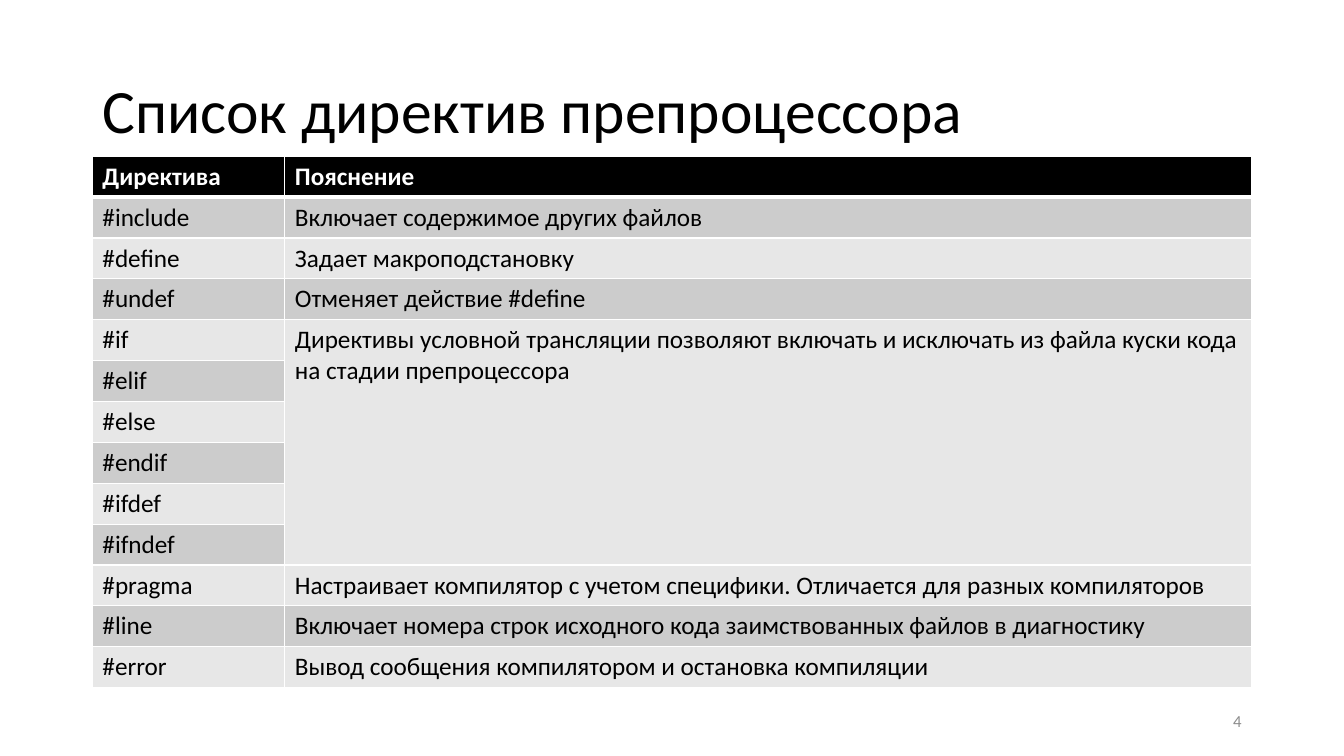
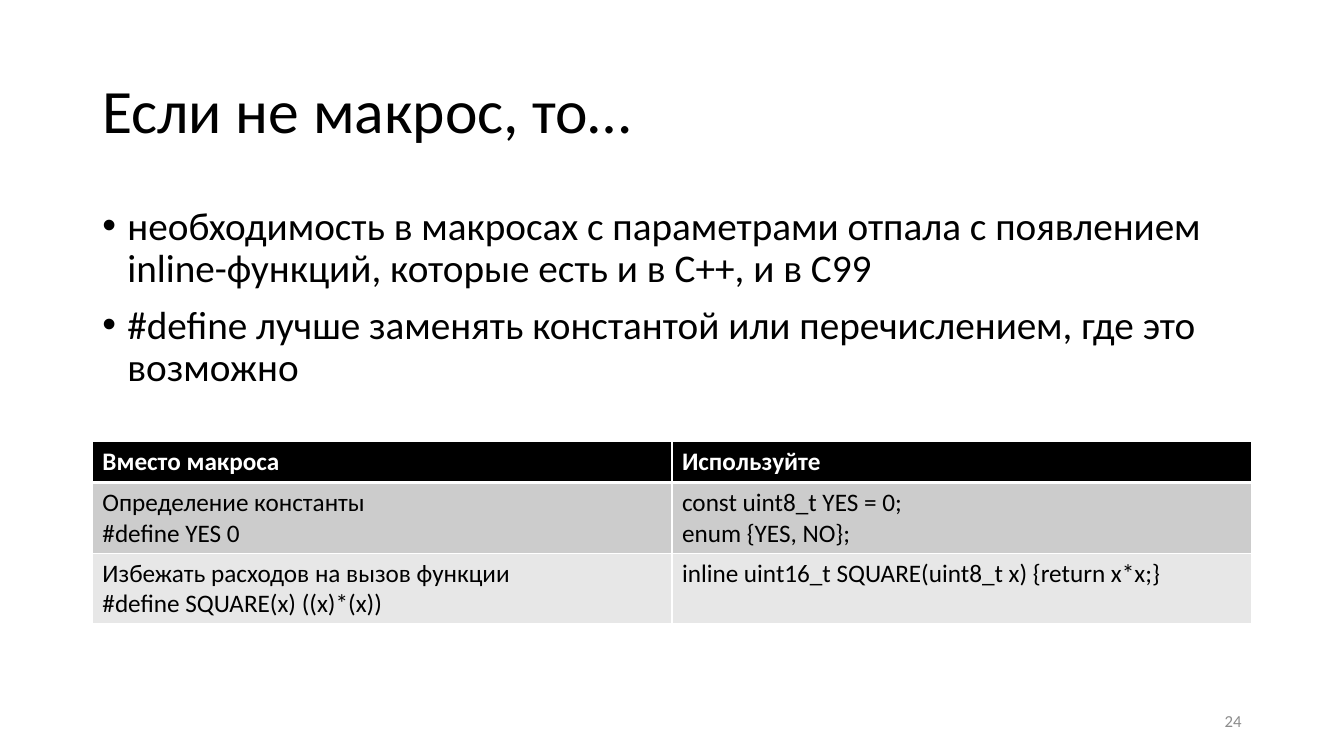
from dataclasses import dataclass

from lxml import etree
from pptx import Presentation
from pptx.dml.color import RGBColor
from pptx.enum.text import MSO_ANCHOR, PP_ALIGN
from pptx.oxml.ns import qn
from pptx.slide import Slide
from pptx.table import _Cell
from pptx.text.text import TextFrame
from pptx.util import Pt

TOP, MIDDLE = MSO_ANCHOR.TOP, MSO_ANCHOR.MIDDLE
LEFT, RIGHT = PP_ALIGN.LEFT, PP_ALIGN.RIGHT
BLANK_LAYOUT = 6


@dataclass(frozen=True)
class Theme:
    font: str = "Calibri"
    bullet_font: str = "Arial"
    ink: str = "000000"
    paper: str = "FFFFFF"
    bands: tuple[str, str] = ("CCCCCC", "E7E7E7")
    muted: str = "8C8C8C"
    title_size: float = 44
    body_size: float = 28
    table_size: float = 18
    number_size: float = 12
    line_spacing: float = 0.9
    bullet_gap: float = 10
    bullet_indent: float = 18
    thin_rule: float = 1
    header_rule: float = 3


@dataclass(frozen=True)
class Box:
    left: float
    top: float
    width: float
    height: float


@dataclass(frozen=True)
class Grid:
    top: float
    columns: tuple[float, ...]
    header_height: float
    row_height: float
    rows: tuple[tuple[str, ...], ...]


@dataclass(frozen=True)
class Page:
    number: int
    title: str
    grid: Grid
    points: tuple[str, ...] = ()


THEME = Theme()
SLIDE_WIDTH, SLIDE_HEIGHT = 960, 540
MARGIN = 66
CONTENT_WIDTH = SLIDE_WIDTH - 2 * MARGIN
TITLE_BOX = Box(MARGIN, 28.8, CONTENT_WIDTH, 104.4)
POINTS_BOX = Box(MARGIN, 144, CONTENT_WIDTH, 342.7)
NUMBER_BOX = Box(678, 500.5, 216, 28.8)
LINE_ROW = 29.2
DIRECTIVE_WIDTH = 137.5

DIRECTIVES = Grid(
    top=111.6,
    columns=(DIRECTIVE_WIDTH, CONTENT_WIDTH - DIRECTIVE_WIDTH),
    header_height=LINE_ROW,
    row_height=LINE_ROW,
    rows=(
        ("Директива", "Пояснение"),
        ("#include", "Включает содержимое других файлов"),
        ("#define", "Задает макроподстановку"),
        ("#undef", "Отменяет действие #define"),
        ("#if", "Директивы условной трансляции позволяют включать и исключать "
                "из файла куски кода на стадии препроцессора"),
        ("#elif",),
        ("#else",),
        ("#endif",),
        ("#ifdef",),
        ("#ifndef",),
        ("#pragma", "Настраивает компилятор с учетом специфики. "
                    "Отличается для разных компиляторов"),
        ("#line", "Включает номера строк исходного кода заимствованных файлов "
                  "в диагностику"),
        ("#error", "Вывод сообщения компилятором и остановка компиляции"),
    ),
)

REPLACEMENTS = Grid(
    top=315.4,
    columns=(CONTENT_WIDTH / 2, CONTENT_WIDTH / 2),
    header_height=LINE_ROW,
    row_height=50.5,
    rows=(
        ("Вместо макроса", "Используйте"),
        ("Определение константы\n#define YES 0",
         "const uint8_t YES = 0;\nenum {YES, NO};"),
        ("Избежать расходов на вызов функции\n#define SQUARE(x) ((x)*(x))",
         "inline uint16_t SQUARE(uint8_t x) {return x*x;}"),
    ),
)

PAGES = (
    Page(4, "Список директив препроцессора", DIRECTIVES),
    Page(24, "Если не макрос, то…", REPLACEMENTS, (
        "необходимость в макросах c параметрами отпала с появлением "
        "inline-функций, которые есть и в C++, и в C99",
        "#define лучше заменять константой или перечислением, где это возможно",
    )),
)


def write(frame: TextFrame, text: str, *, size: float, color: str = THEME.ink,
          bold: bool = False, align: PP_ALIGN = LEFT, spacing: float = 1,
          before: float = 0, bullet: str = "") -> None:
    frame.text = text
    for paragraph in frame.paragraphs:
        paragraph.alignment = align
        paragraph.line_spacing = spacing
        paragraph.space_before = Pt(before)
        for run in paragraph.runs:
            run.font.name = THEME.font
            run.font.size = Pt(size)
            run.font.bold = bold
            run.font.color.rgb = RGBColor.from_string(color)
        if bullet:
            properties = paragraph._p.get_or_add_pPr()
            properties.set("marL", str(Pt(THEME.bullet_indent)))
            properties.set("indent", str(-Pt(THEME.bullet_indent)))
            etree.SubElement(properties, qn("a:buFont"), typeface=THEME.bullet_font)
            etree.SubElement(properties, qn("a:buChar"), char=bullet)


def add_frame(slide: Slide, box: Box, anchor: MSO_ANCHOR) -> TextFrame:
    frame = slide.shapes.add_textbox(
        Pt(box.left), Pt(box.top), Pt(box.width), Pt(box.height)).text_frame
    frame.word_wrap = True
    frame.vertical_anchor = anchor
    return frame


def rule_cell(cell: _Cell, top: float, bottom: float) -> None:
    properties = cell._tc.get_or_add_tcPr()
    widths = {"L": THEME.thin_rule, "R": THEME.thin_rule, "T": top, "B": bottom}
    for side, width in widths.items():
        line = etree.SubElement(properties, qn(f"a:ln{side}"), w=str(Pt(width)))
        fill = etree.SubElement(line, qn("a:solidFill"))
        etree.SubElement(fill, qn("a:srgbClr"), val=THEME.paper)


def add_grid(slide: Slide, grid: Grid) -> None:
    heights = [grid.header_height] + [grid.row_height] * (len(grid.rows) - 1)
    table = slide.shapes.add_table(
        len(grid.rows), len(grid.columns), Pt(MARGIN), Pt(grid.top),
        Pt(CONTENT_WIDTH), Pt(sum(heights))).table
    table.horz_banding = False
    for column, width in zip(table.columns, grid.columns):
        column.width = Pt(width)
    for row, height in zip(table.rows, heights):
        row.height = Pt(height)

    last_column = len(grid.columns) - 1
    span_start = 0
    for index, texts in enumerate(grid.rows):
        header = index == 0
        fill = THEME.ink if header else THEME.bands[(index - 1) % 2]
        top = THEME.header_rule if index == 1 else THEME.thin_rule
        bottom = THEME.header_rule if header else THEME.thin_rule
        for cell in table.rows[index].cells:
            rule_cell(cell, top, bottom)
            cell.fill.solid()
            cell.fill.fore_color.rgb = RGBColor.from_string(fill)
        for column, text in enumerate(texts):
            write(table.cell(index, column).text_frame, text,
                  size=THEME.table_size, bold=header,
                  color=THEME.paper if header else THEME.ink)
        if len(texts) > last_column:
            span_start = index
        elif index + 1 == len(grid.rows) or len(grid.rows[index + 1]) > last_column:
            table.cell(span_start, last_column).merge(table.cell(index, last_column))


def add_page(slide: Slide, page: Page) -> None:
    write(add_frame(slide, TITLE_BOX, MIDDLE), page.title,
          size=THEME.title_size, spacing=THEME.line_spacing)
    if page.points:
        write(add_frame(slide, POINTS_BOX, TOP), "\n".join(page.points),
              size=THEME.body_size, spacing=THEME.line_spacing,
              before=THEME.bullet_gap, bullet="•")
    add_grid(slide, page.grid)
    write(add_frame(slide, NUMBER_BOX, MIDDLE), str(page.number),
          size=THEME.number_size, color=THEME.muted, align=RIGHT)


def main() -> None:
    deck = Presentation()
    deck.slide_width, deck.slide_height = Pt(SLIDE_WIDTH), Pt(SLIDE_HEIGHT)
    for page in PAGES:
        add_page(deck.slides.add_slide(deck.slide_layouts[BLANK_LAYOUT]), page)
    deck.save("out.pptx")


if __name__ == "__main__":
    main()
